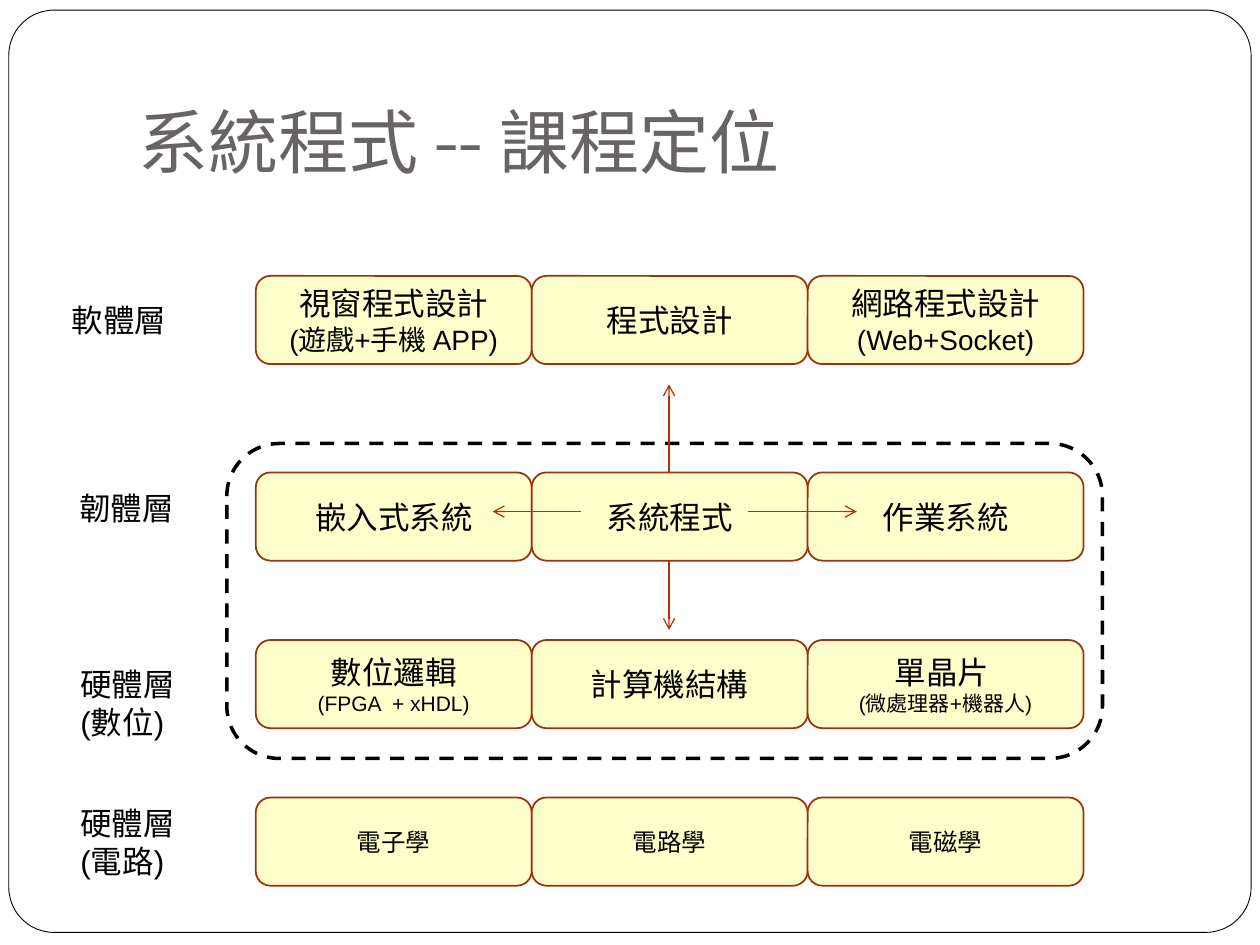
from pptx import Presentation
from pptx.dml.color import RGBColor
from pptx.enum.dml import MSO_LINE_DASH_STYLE as Dash
from pptx.enum.shapes import MSO_CONNECTOR as Link, MSO_SHAPE as Shape
from pptx.enum.text import MSO_ANCHOR as Anchor, MSO_AUTO_SIZE as Fit, PP_ALIGN as Align
from pptx.oxml.ns import qn
from pptx.util import Inches, Pt
from lxml.etree import SubElement as Sub

BLACK = RGBColor(0x00, 0x00, 0x00)
WHITE = RGBColor(0xFF, 0xFF, 0xFF)
GREY = RGBColor(0x69, 0x64, 0x64)
CREAM = RGBColor(0xFF, 0xFF, 0xCC)
RUST = RGBColor(0x9B, 0x32, 0x0E)
BRICK = RGBColor(0xAF, 0x34, 0x08)

LEFT, WIDTH, HEIGHT = 2.03, 2.19, 0.7

ROWS = [
    (2.19, [
        [("視窗程式設計", 18), ("(遊戲+手機 APP)", 16)],
        [("程式設計", 18)],
        [("網路程式設計", 18), ("(Web+Socket)", 16)],
    ]),
    (3.75, [[("嵌入式系統", 18)], [("系統程式", 18)], [("作業系統", 18)]]),
    (5.08, [
        [("數位邏輯", 18), ("(FPGA  + xHDL)", 12)],
        [("計算機結構", 18)],
        [("單晶片 ", 18), ("(微處理器+機器人)", 12)],
    ]),
    (6.33, [[("電子學", 14)], [("電路學", 14)], [("電磁學", 14)]]),
]

LABELS = [
    ((0.47, 2.34, 0.95, 0.4), ["軟體層"]),
    ((0.53, 3.83, 0.95, 0.4), ["韌體層"]),
    ((0.54, 5.23, 0.98, 0.7), ["硬體層", "(數位)"]),
    ((0.54, 6.33, 0.98, 0.7), ["硬體層", "(電路)"]),
]

ARROWS = [
    ((5.31, 4.45), (5.31, 5)),
    ((4.61, 4.06), (3.91, 4.06)),
    ((5.94, 4.06), (6.8, 4.06)),
    ((5.31, 3.75), (5.31, 3.05)),
]


def apply(item, style):
    for name, value in style.items():
        setattr(item, name, value)


def write(frame, lines, align=Align.LEFT, face="Arial", color=BLACK):
    for i, (text, size) in enumerate(lines):
        para = frame.paragraphs[0] if i == 0 else frame.add_paragraph()
        para.alignment = align
        run = para.add_run()
        run.text = text
        apply(run.font, {"name": face, "size": Pt(size)})
        run.font.color.rgb = color


def add_round(slide, box, fill, color, width, bend=0.167):
    shape = slide.shapes.add_shape(Shape.ROUNDED_RECTANGLE, *map(Inches, box))
    shape.adjustments[0] = bend
    shape.shadow.inherit = False
    if fill is None:
        shape.fill.background()
    else:
        shape.fill.solid()
        shape.fill.fore_color.rgb = fill
    shape.line.color.rgb = color
    shape.line.width = Pt(width)
    return shape


def add_border(slide):
    shape = add_round(slide, (0.07, 0.08, 9.86, 7.32), WHITE, BLACK, 0.5, 0.049)
    slide.shapes._spTree.insert(2, shape._element)


def add_title(slide, text):
    title = slide.shapes.title
    apply(title, {"left": Inches(1), "top": Inches(0.3),
                  "width": Inches(8.5), "height": Inches(1.25)})
    apply(title.text_frame, {
        "vertical_anchor": Anchor.BOTTOM, "auto_size": Fit.NONE,
        "margin_bottom": Inches(0.1)})
    write(title.text_frame, [(text, 40)], face="Karla", color=GREY)


def add_course(slide, row, col, lines):
    box = (LEFT + col * WIDTH, row, WIDTH, HEIGHT)
    shape = add_round(slide, box, CREAM, RUST, 1)
    apply(shape.text_frame, {"vertical_anchor": Anchor.MIDDLE, "word_wrap": True})
    write(shape.text_frame, lines, Align.CENTER)


def add_label(slide, box, lines):
    frame = slide.shapes.add_textbox(*map(Inches, box)).text_frame
    apply(frame, {"word_wrap": True, "auto_size": Fit.NONE, "margin_right": 0})
    write(frame, [(text, 18) for text in lines])


def add_arrow(slide, start, end):
    link = slide.shapes.add_connector(Link.STRAIGHT, *map(Inches, start + end))
    link.line.color.rgb = BRICK
    link.line.width = Pt(0.75)
    Sub(link.line._get_or_add_ln(), qn("a:tailEnd"), type="arrow")
    Sub(link._element.spPr, qn("a:effectLst"))


def main():
    deck = Presentation()
    apply(deck, {"slide_width": Inches(10), "slide_height": Inches(7.5)})
    slide = deck.slides.add_slide(deck.slide_layouts[5])
    add_border(slide)
    add_title(slide, "系統程式 -- 課程定位")
    for row, cells in ROWS:
        for col, lines in enumerate(cells):
            add_course(slide, row, col, lines)
    scope = add_round(slide, (1.8, 3.52, 6.95, 2.5), None, BLACK, 2)
    scope.line.dash_style = Dash.DASH
    for start, end in ARROWS:
        add_arrow(slide, start, end)
    for box, lines in LABELS:
        add_label(slide, box, lines)
    deck.save("out.pptx")


if __name__ == "__main__":
    main()
